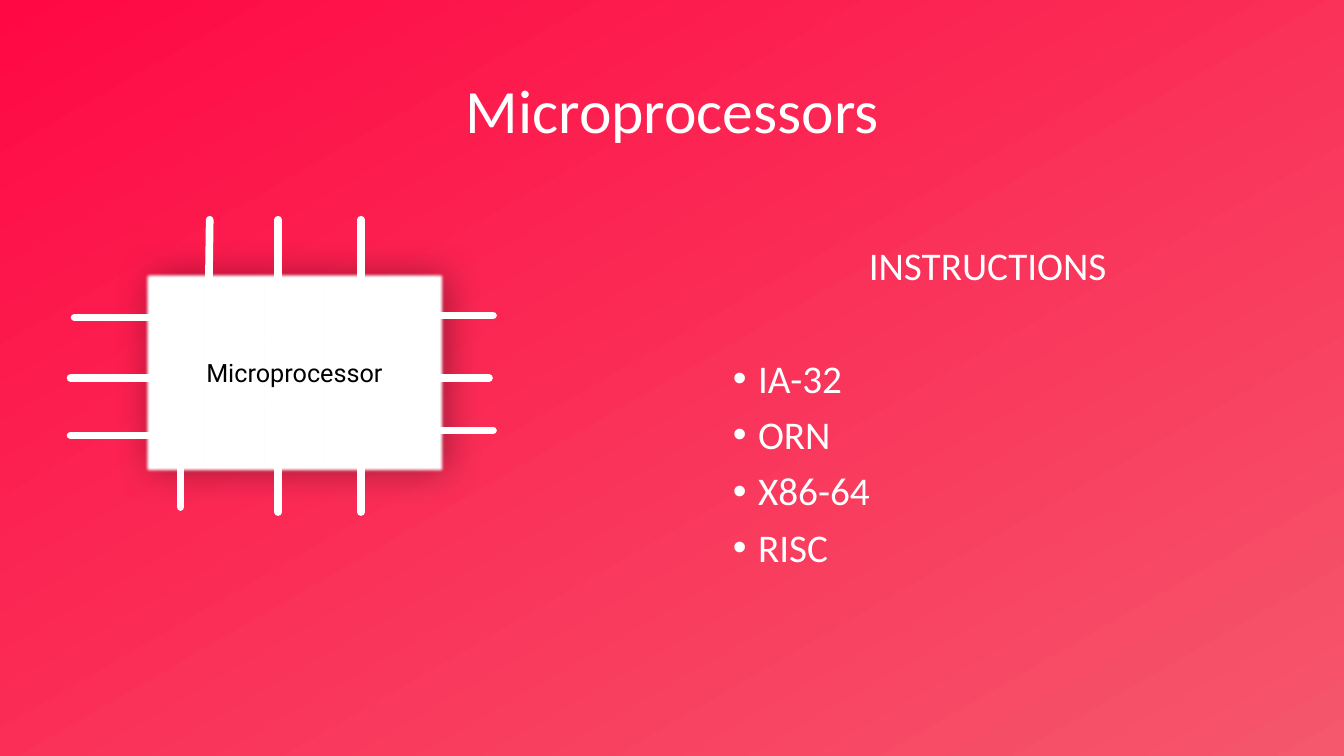
"""Build a slide showing a microprocessor chip and its instruction sets."""
from typing import NamedTuple

from lxml import etree
from pptx import Presentation
from pptx import util as u
from pptx.dml.color import RGBColor
from pptx.enum import shapes, text
from pptx.oxml import ns

WHITE = RGBColor(0xFF, 0xFF, 0xFF)
BLACK = RGBColor(0x00, 0x00, 0x00)
CHIP_EDGE = RGBColor(0x43, 0x73, 0x9E)
GRADIENT = (RGBColor(0xFF, 0x08, 0x44), RGBColor(0xF5, 0x57, 0x6C))
INSTRUCTION_SETS = ("IA-32", "ORN", "X86-64", "RISC")
HORIZONTAL_PIN = 0.78
VERTICAL_PIN = 0.59


class Pin(NamedTuple):
    left: float
    top: float
    width: float = 0
    height: float = 0


PINS = (
    Pin(2.07, 2.18, 0.01, 0.76),
    *(Pin(left, top, height=VERTICAL_PIN)
      for left, top in ((2.76, 2.18), (3.58, 2.18), (1.79, 4.44), (2.76, 4.49), (3.58, 4.49))),
    *(Pin(left, top, width=HORIZONTAL_PIN)
      for left, top in ((4.11, 3.13), (4.07, 3.75), (4.11, 4.27),
                        (0.74, 3.15), (0.7, 3.75), (0.7, 4.32))),
)


def add_element(parent, tag: str, **attributes: str):
    return etree.SubElement(parent, ns.qn(tag), attributes)


def write(paragraph, content: str, *, size: float, font: str = "Calibri",
          color: RGBColor = WHITE, align=text.PP_ALIGN.CENTER,
          line_spacing: float = 0.9, before: float = 0, bullet: bool = False) -> None:
    run = paragraph.add_run()
    run.text = content
    run.font.size = u.Pt(size)
    run.font.name = font
    run.font.color.rgb = color
    paragraph.alignment = align
    paragraph.line_spacing = line_spacing
    paragraph.space_before = u.Pt(before)
    if bullet:
        properties = paragraph._p.get_or_add_pPr()
        indent = u.Inches(0.25)
        properties.set("marL", str(indent))
        properties.set("indent", str(-indent))
        add_element(properties, "a:buFont", typeface="Arial")
        add_element(properties, "a:buChar", char="•")


def paint_background(slide) -> None:
    fill = slide.background.fill
    fill.gradient()
    fill.gradient_angle = 300
    for stop, color in zip(fill.gradient_stops, GRADIENT):
        stop.color.rgb = color


def add_title(slide) -> None:
    title = slide.shapes.title
    title.left, title.top = u.Inches(0.92), u.Inches(0.4)
    title.width, title.height = u.Inches(11.5), u.Inches(1.45)
    title.text_frame.vertical_anchor = text.MSO_ANCHOR.MIDDLE
    write(title.text_frame.paragraphs[0], "Microprocessors", size=44)


def add_instructions(slide) -> None:
    box = slide.shapes.add_textbox(u.Inches(7.17), u.Inches(2.4), u.Inches(5.25), u.Inches(4.76))
    frame = box.text_frame
    frame.word_wrap = True
    write(frame.paragraphs[0], "INSTRUCTIONS", size=28, before=10)
    for index, name in enumerate(INSTRUCTION_SETS):
        write(frame.add_paragraph(), name, size=28, align=text.PP_ALIGN.LEFT,
              before=10 if index else 50, bullet=True)


def add_chip(slide) -> None:
    chip = slide.shapes.add_shape(shapes.MSO_SHAPE.RECTANGLE, u.Inches(1.43), u.Inches(2.7),
                                  u.Inches(2.98), u.Inches(1.99))
    chip.fill.solid()
    chip.fill.fore_color.rgb = WHITE
    chip.line.color.rgb = CHIP_EDGE
    chip.line.width = u.Pt(1)
    chip.shadow.inherit = False
    effects = chip._element.spPr.find(ns.qn("a:effectLst"))
    shadow = add_element(effects, "a:outerShdw", blurRad=str(u.Pt(28)), dist=str(u.Pt(3)),
                         dir="0", algn="ctr", rotWithShape="0")
    shadow_color = add_element(shadow, "a:srgbClr", val=str(BLACK))
    add_element(shadow_color, "a:alpha", val="40000")
    add_element(effects, "a:softEdge", rad=str(u.Pt(2.5)))
    chip.text_frame.vertical_anchor = text.MSO_ANCHOR.MIDDLE
    write(chip.text_frame.paragraphs[0], "Microprocessor", size=18, font="Roboto",
          color=BLACK, line_spacing=1.0)


def add_pin(slide, pin: Pin) -> None:
    connector = slide.shapes.add_connector(
        shapes.MSO_CONNECTOR.STRAIGHT, u.Inches(pin.left), u.Inches(pin.top + pin.height),
        u.Inches(pin.left + pin.width), u.Inches(pin.top))
    connector.line.color.rgb = WHITE
    connector.line.width = u.Pt(5.5)
    connector.line._get_or_add_ln().set("cap", "rnd")
    add_element(connector._element.spPr, "a:effectLst")


def main() -> None:
    presentation = Presentation()
    presentation.slide_width = u.Inches(13.33)
    presentation.slide_height = u.Inches(7.5)
    slide = presentation.slides.add_slide(presentation.slide_layouts.get_by_name("Title Only"))
    paint_background(slide)
    add_title(slide)
    add_instructions(slide)
    add_chip(slide)
    for pin in PINS:
        add_pin(slide, pin)
    presentation.save("out.pptx")


if __name__ == "__main__":
    main()
